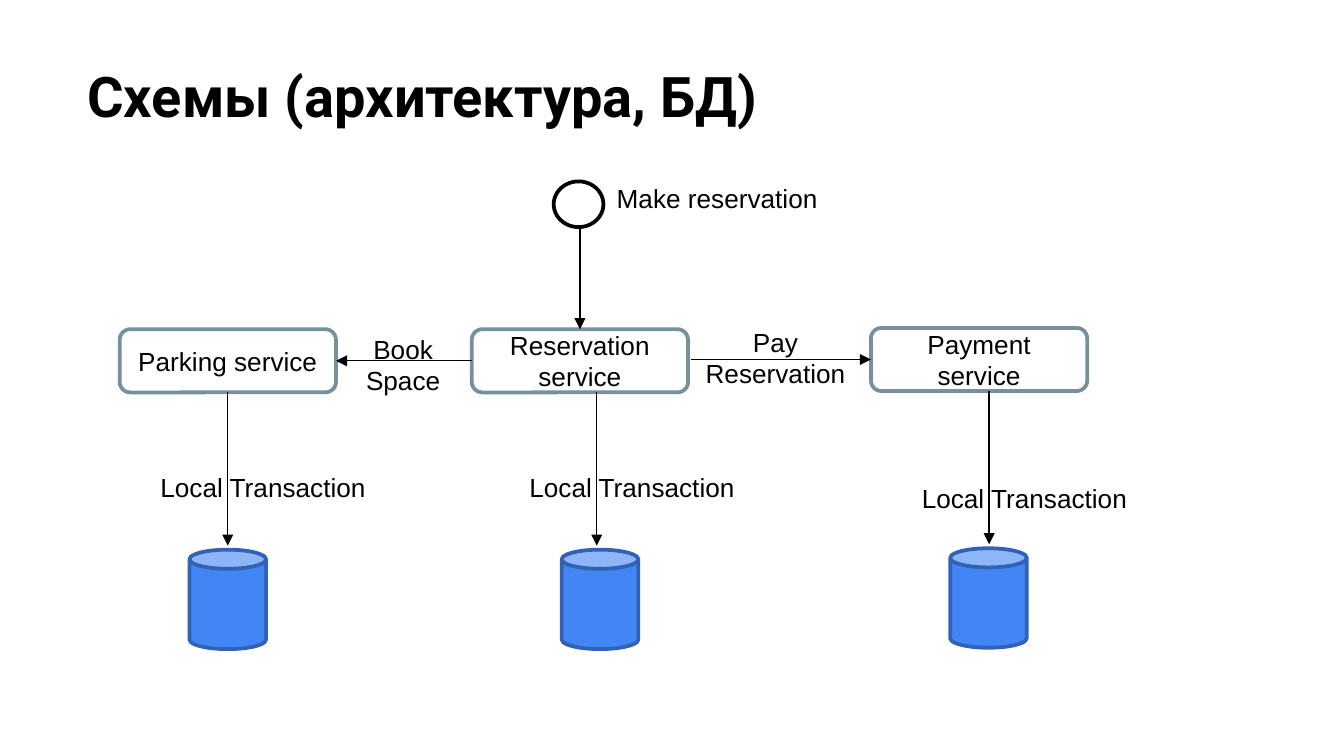
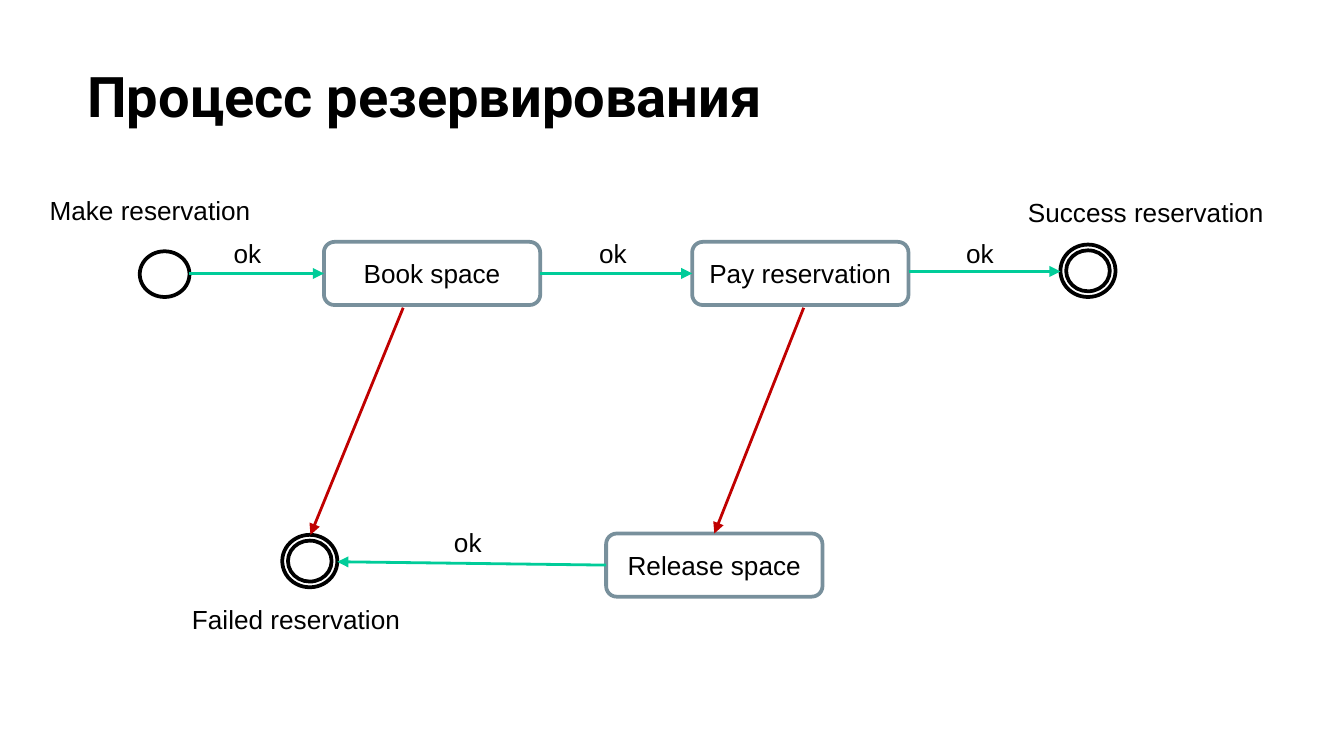
from dataclasses import dataclass

from lxml import etree
from pptx import Presentation
from pptx.dml.color import RGBColor
from pptx.enum import shapes, text
from pptx.oxml.ns import qn
from pptx.util import Inches, Pt


@dataclass(frozen=True)
class Theme:
    ink: str = "000000"
    paper: str = "FFFFFF"
    box_line: str = "78909C"
    db_fill: str = "4285F4"
    db_line: str = "3162B5"
    success: str = "00CC99"
    failure: str = "C00000"
    title_font: str = "Roboto"
    title_size: float = 30
    body_font: str = "Arial"
    body_size: float = 14
    outline: float = 2
    thin: float = 0.75
    medium: float = 1.5


T = Theme()
SHAPE = shapes.MSO_SHAPE
CENTER = text.PP_ALIGN.CENTER
TOP, LEFT, BOTTOM, RIGHT = range(4)
BOX_W, BOX_H = 1.61, 0.47
MID_X, MID_Y = BOX_W / 2, BOX_H / 2
LINE_H = 0.34


# Shared parts

def rgb(value):
    return RGBColor.from_string(value)


def write(tf, words, font, size, bold=False, align=text.PP_ALIGN.LEFT):
    p = tf.paragraphs[0]
    p.text = words
    p.alignment = align
    for r in p.runs:
        r.font.name, r.font.size, r.font.bold = font, Pt(size), bold
        r.font.color.rgb = rgb(T.ink)


def add_slide(prs, title):
    slide = prs.slides.add_slide(prs.slide_layouts[5])
    sp = slide.shapes.title
    sp.left, sp.top, sp.width, sp.height = map(Inches, (0.55, 0.36, 9.32, 0.7))
    tf = sp.text_frame
    tf.margin_left = tf.margin_right = tf.margin_top = tf.margin_bottom = Inches(0.1)
    tf.vertical_anchor = text.MSO_ANCHOR.TOP
    tf.auto_size = text.MSO_AUTO_SIZE.NONE
    write(tf, title, T.title_font, T.title_size, bold=True)
    return slide


def add_figure(slide, kind, x, y, w, h, fill=T.paper, line=T.ink):
    sp = slide.shapes.add_shape(kind, *map(Inches, (x, y, w, h)))
    sp.shadow.inherit = False
    sp.fill.solid()
    sp.fill.fore_color.rgb = rgb(fill)
    sp.line.color.rgb = rgb(line)
    sp.line.width = Pt(T.outline)
    return sp


def add_box(slide, words, x, y):
    sp = add_figure(slide, SHAPE.ROUNDED_RECTANGLE, x, y, BOX_W, BOX_H, line=T.box_line)
    tf = sp.text_frame
    tf.word_wrap = True
    tf.vertical_anchor = text.MSO_ANCHOR.MIDDLE
    write(tf, words, T.body_font, T.body_size, align=CENTER)
    return sp


def add_start(slide, x, y):
    return add_figure(slide, SHAPE.FLOWCHART_CONNECTOR, x, y, 0.37, 0.34)


def add_end(slide, x, y):
    sp = add_figure(slide, SHAPE.DONUT, x, y, 0.41, 0.39)
    sp.adjustments[0] = 0.109
    return sp


def add_label(slide, words, x, y, w, h=LINE_H, align=text.PP_ALIGN.LEFT):
    tf = slide.shapes.add_textbox(*map(Inches, (x, y, w, h))).text_frame
    tf.word_wrap = True
    tf.auto_size = text.MSO_AUTO_SIZE.SHAPE_TO_FIT_TEXT
    write(tf, words, T.body_font, T.body_size, align=align)


def add_arrow(slide, start, end, color=T.ink, width=T.thin):
    """Each end is either a point (x, y) or a box with its side (shape, side)."""
    joined = [not isinstance(e[0], (int, float)) for e in (start, end)]
    points = [(0, 0) if j else e for j, e in zip(joined, (start, end))]
    line = slide.shapes.add_connector(
        shapes.MSO_CONNECTOR.STRAIGHT, *(Inches(v) for point in points for v in point))
    if joined[0]:
        line.begin_connect(*start)
    if joined[1]:
        line.end_connect(*end)
    line.line.color.rgb = rgb(color)
    line.line.width = Pt(width)
    props = line.element.spPr
    etree.SubElement(props.find(qn("a:ln")), qn("a:tailEnd"), type="triangle")
    etree.SubElement(props, qn("a:effectLst"))


# Slide 1: services and their databases

def service_column(slide, name, x, y, arrow_dx, db_dx, label_dy):
    box = add_box(slide, name, x, y)
    add_figure(slide, SHAPE.CAN, x + db_dx, 4.09 - 2.45 + y, 0.57, 0.74,
               T.db_fill, T.db_line)
    start = (box, BOTTOM) if arrow_dx == MID_X else (x + arrow_dx, y + BOX_H)
    add_arrow(slide, start, (x + arrow_dx, y + 1.61))
    add_label(slide, "Local Transaction", x + arrow_dx - 0.6, y + label_dy, 1.75)
    return box


def architecture(slide, x, y):
    columns = [
        ("Parking service", 0, 1.14, MID_X, 0.52, 1.01),
        ("Reservation service", 2.62, 1.14, 0.93, 0.67, 1.01),
        ("Payment service", 5.59, 1.13, 0.88, 0.59, 1.1),
    ]
    parking, reservation, payment = [
        service_column(slide, name, x + dx, y + dy, *offsets)
        for name, dx, dy, *offsets in columns]

    # Request
    add_start(slide, x + 3.23, y + 0.04)
    add_label(slide, "Make reservation", x + 3.6, y, 2.36)
    add_arrow(slide, (x + 2.62 + MID_X, y + 0.38), (reservation, TOP))

    # Calls between services
    add_arrow(slide, (x + 4.25, y + 1.13 + MID_Y), (payment, LEFT))
    add_label(slide, "Pay\vReservation", x + 4.2, y + 1.07, 1.36, 0.57, CENTER)
    add_arrow(slide, (reservation, LEFT), (parking, RIGHT))
    add_label(slide, "Book Space", x + 1.61, y + 1.12, 1, 0.57, CENTER)


# Slide 2: reservation steps

def process(slide, x, y):
    book = add_box(slide, "Book space", x + 2.14, y + 0.4)
    release = add_box(slide, "Release space", x + 4.24, y + 2.57)
    pay = add_box(slide, "Pay reservation", x + 4.88, y + 0.4)
    add_start(slide, x + 0.77, y + 0.47)
    add_end(slide, x + 1.83, y + 2.58)
    add_end(slide, x + 7.62, y + 0.42)

    # States
    for words, dx, dy, w in [("Make reservation", 0, 0, 1.75),
                             ("Success reservation", 7.28, 0.01, 2),
                             ("Failed reservation", 1.06, 3.04, 2.36)]:
        add_label(slide, words, x + dx, y + dy, w)

    # Successful steps
    for start, end, dx, dy in [
            ((x + 1.14, y + 0.4 + MID_Y), (book, LEFT), 1.37, 0.32),
            ((book, RIGHT), (pay, LEFT), 4.09, 0.32),
            ((x + 6.49, y + 0.62), (x + 7.62, y + 0.62), 6.82, 0.32),
            ((release, LEFT), (x + 2.24, y + 2.78), 3.01, 2.47)]:
        add_arrow(slide, start, end, T.success, T.medium)
        add_label(slide, "ok", x + dx, y + dy, 0.46)

    # Failures
    for start, end in [((x + 5.71, y + 0.89), (release, TOP)),
                       ((x + 2.73, y + 0.89), (x + 2.04, y + 2.58))]:
        add_arrow(slide, start, end, T.failure, T.medium)


def main():
    prs = Presentation()
    prs.slide_width = Inches(10)
    prs.slide_height = prs.slide_width * 9 // 16
    architecture(add_slide(prs, "Схемы (архитектура, БД)"), 0.89, 1.31)
    process(add_slide(prs, "Процесс резервирования"), 0.27, 1.4)
    prs.save("out.pptx")


if __name__ == "__main__":
    main()
